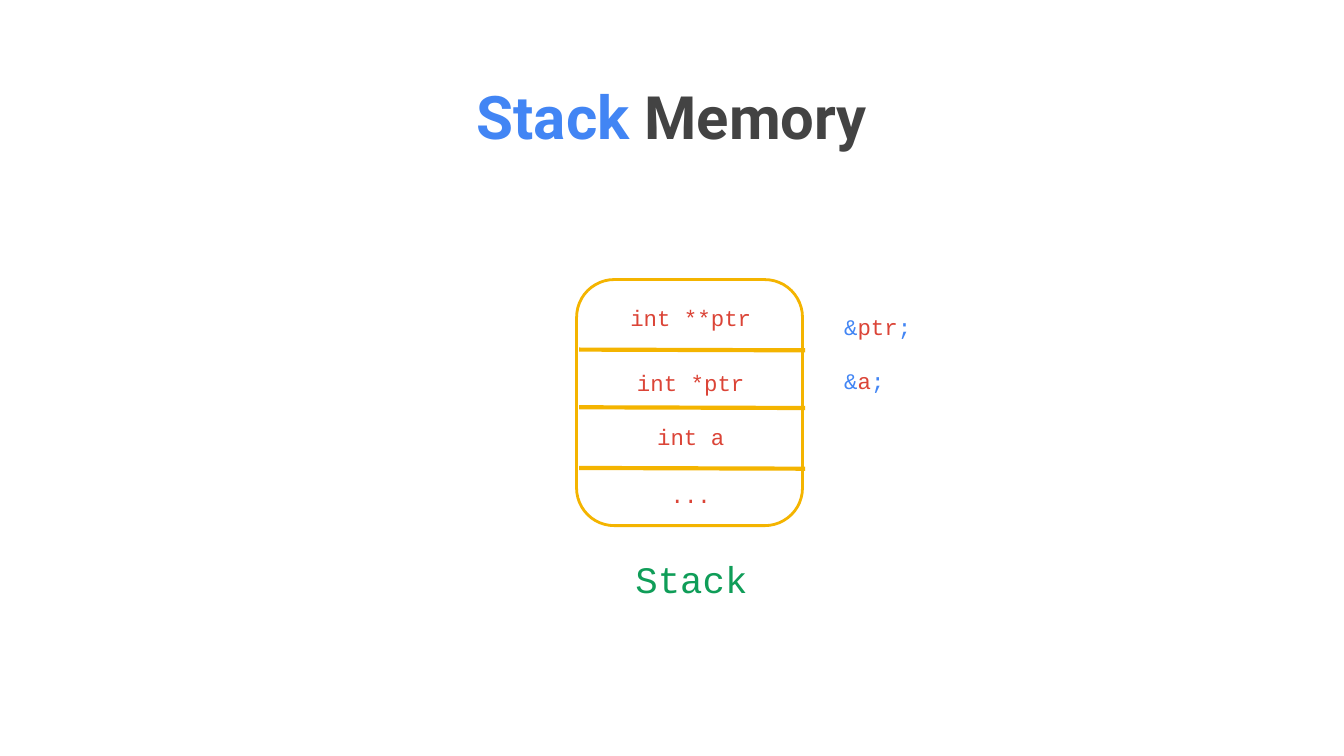
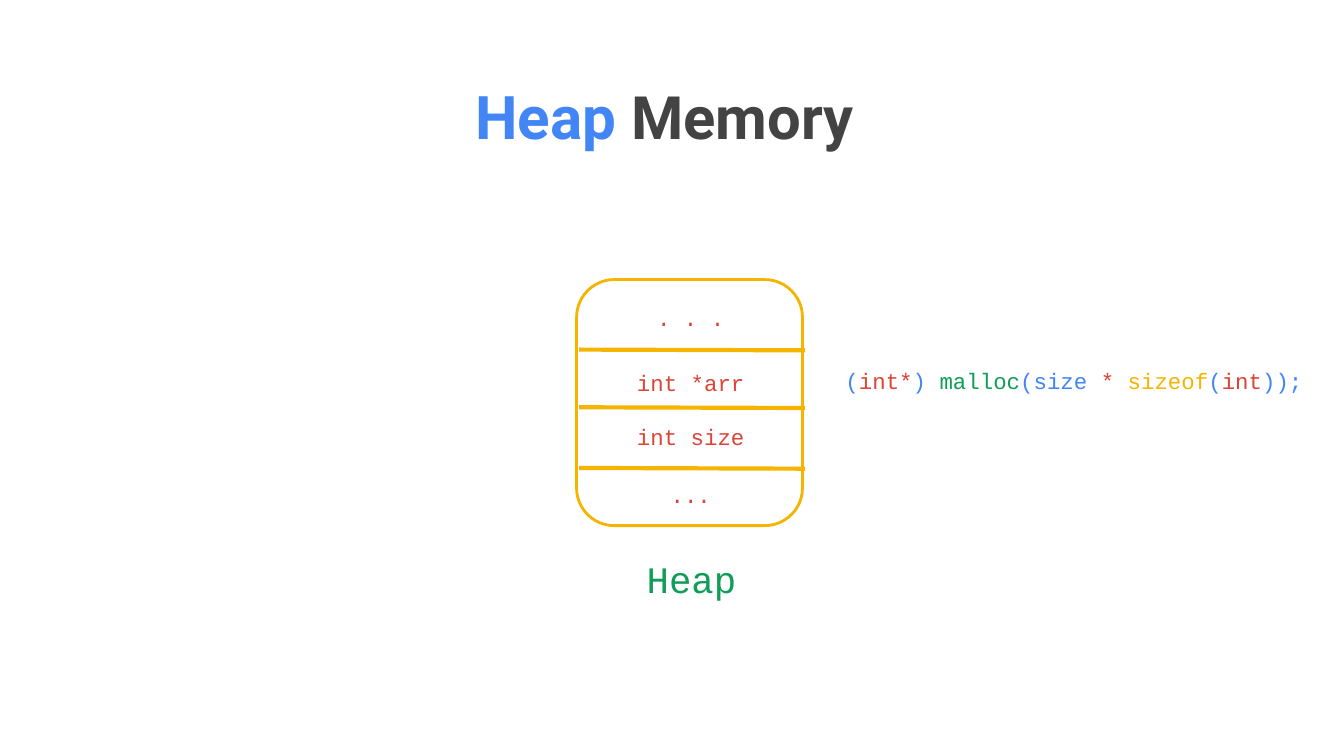
from lxml import etree
from pptx import Presentation
from pptx.dml.color import RGBColor
from pptx.enum import shapes, text
from pptx.oxml import ns
from pptx.util import Pt

# Colours and fonts
BLUE = RGBColor(0x42, 0x85, 0xF4)
RED = RGBColor(0xDB, 0x44, 0x37)
YELLOW = RGBColor(0xF4, 0xB4, 0x00)
GREEN = RGBColor(0x0F, 0x9D, 0x58)
GREY = RGBColor(0x43, 0x43, 0x43)
HEADING, CODE = "Roboto", "Courier New"
LEFT, CENTER = text.PP_ALIGN.LEFT, text.PP_ALIGN.CENTER

# Shared layout, in points
INSET = 7.2
CODE_INDENT = 14.4
CELL_X, CELL_W, CELL_H = 306.7, 126.7, 28.8
CELL_TOPS = (155.5, 190.8, 219.6, 250.6)
DIVIDERS = (187.3, 218.2, 250.7)
CODE_X, CODE_W = 430.6, 289.4
CODE_TOPS = (160.6, 189.4)


def add_text(s, box, runs, size, font=CODE, align=CENTER, indent=0, grow=True):
    """Add one line of text; runs are (string, colour) pairs."""
    tb = s.shapes.add_textbox(*map(Pt, box))
    tf = tb.text_frame
    tf.word_wrap = True
    tf.auto_size = (text.MSO_AUTO_SIZE.SHAPE_TO_FIT_TEXT if grow
                    else text.MSO_AUTO_SIZE.NONE)
    tf.margin_left = Pt(INSET + indent)
    tf.margin_top = tf.margin_right = tf.margin_bottom = Pt(INSET)
    p = tf.paragraphs[0]
    p.alignment = align
    for string, color in runs:
        r = p.add_run()
        r.text = string
        r.font.name, r.font.size = font, Pt(size)
        r.font.color.rgb = color
    return p


def add_title(s, kind, rest):
    p = add_text(s, (24.5, 35.3, 671, 45.4), [(kind + " ", BLUE), (rest, GREY)],
                 32, HEADING, grow=False)
    for r in p.runs:
        r.font.bold = True
    p.runs[0].font.size = Pt(32.2)


def add_divider(s, y):
    line = s.shapes.add_connector(shapes.MSO_CONNECTOR.STRAIGHT,
                                  Pt(310.3), Pt(y), Pt(431.3), Pt(y + 0.4))
    line.line.color.rgb = YELLOW
    line.line.width = Pt(2.25)
    etree.SubElement(line._element.spPr, ns.qn("a:effectLst"))


def add_memory(s, name, cells):
    """Draw the rounded block, its dividers, cell texts and caption."""
    sp = s.shapes.add_shape(shapes.MSO_SHAPE.ROUNDED_RECTANGLE,
                            Pt(308.9), Pt(149.8), Pt(121), Pt(131.8))
    sp.shadow.inherit = False
    sp.fill.background()
    sp.line.color.rgb = YELLOW
    sp.line.width = Pt(1.5)
    for y in DIVIDERS:
        add_divider(s, y)
    for y, cell in zip(CELL_TOPS, cells):
        add_text(s, (CELL_X, y, CELL_W, CELL_H), [(cell, RED)], 12)
    add_text(s, (284.4, 290.9, 172.1, 38.9), [(name, GREEN)], 20)


def add_code(s, y, runs, **layout):
    add_text(s, (CODE_X, y, CODE_W, CELL_H), runs, 12, **layout)


def add_memory_slide(prs, name, rest, cells):
    s = prs.slides.add_slide(prs.slide_layouts[6])
    add_title(s, name, rest)
    add_memory(s, name, cells)
    return s


def main():
    prs = Presentation()
    prs.slide_width, prs.slide_height = Pt(720), Pt(405)

    # Stack: addresses beside the cells
    s = add_memory_slide(prs, "Stack", "Memory",
                         ("int **ptr", "int *ptr", "int a", "..."))
    for y, variable in zip(CODE_TOPS, ("ptr", "a")):
        add_code(s, y, [("&", BLUE), (variable, RED), (";", BLUE)],
                 align=LEFT, indent=CODE_INDENT)

    # Heap: allocation call beside the array pointer
    s = add_memory_slide(prs, "Heap", "Memory ",
                         (". . .", "int *arr", "int size", "..."))
    add_code(s, CODE_TOPS[1], [
        ("(", BLUE), ("int*", RED), (") ", BLUE), ("malloc", GREEN),
        ("(size", BLUE), (" * ", RED), ("sizeof", YELLOW), ("(", BLUE),
        ("int", RED), ("));", BLUE)])

    prs.save("out.pptx")


if __name__ == "__main__":
    main()
